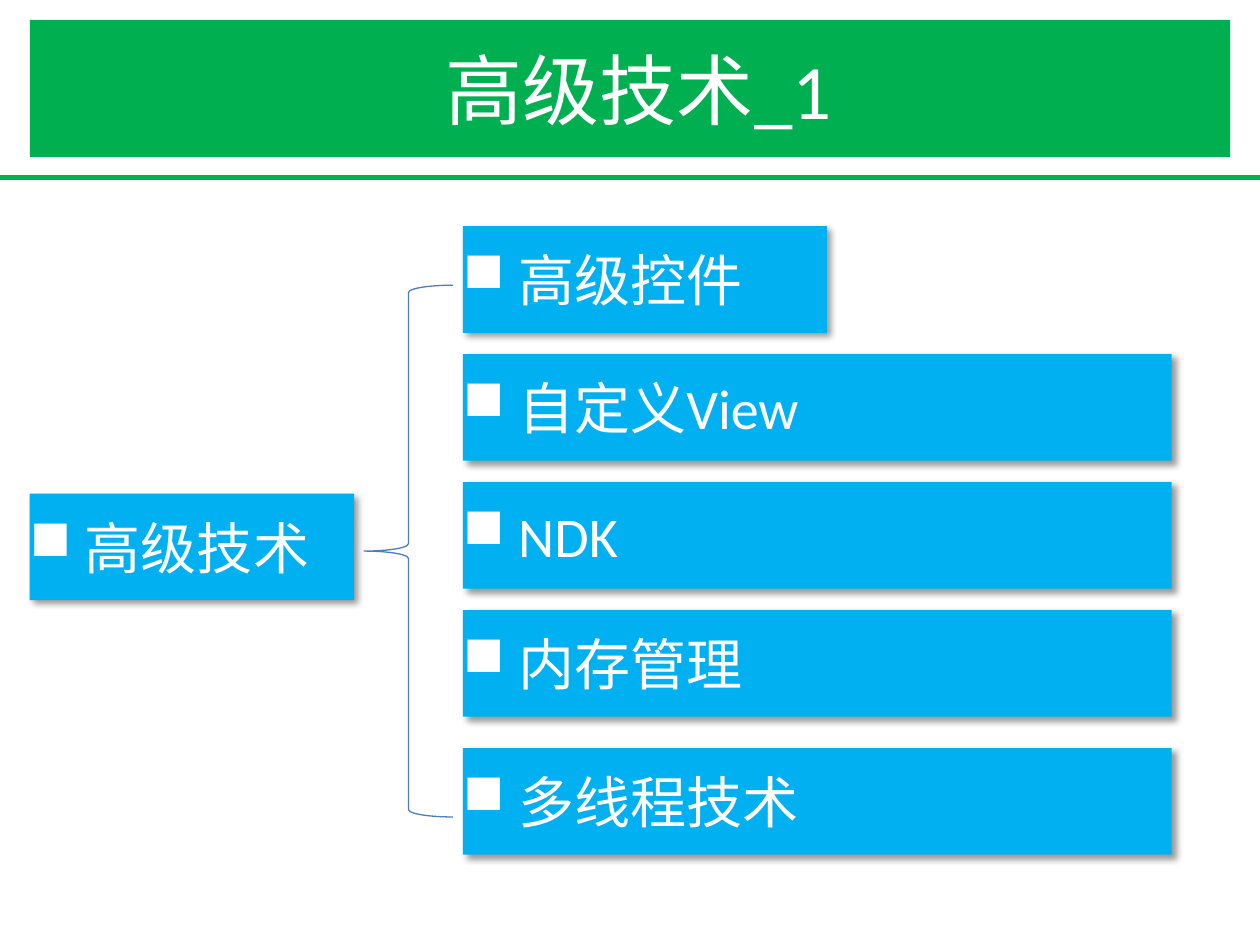
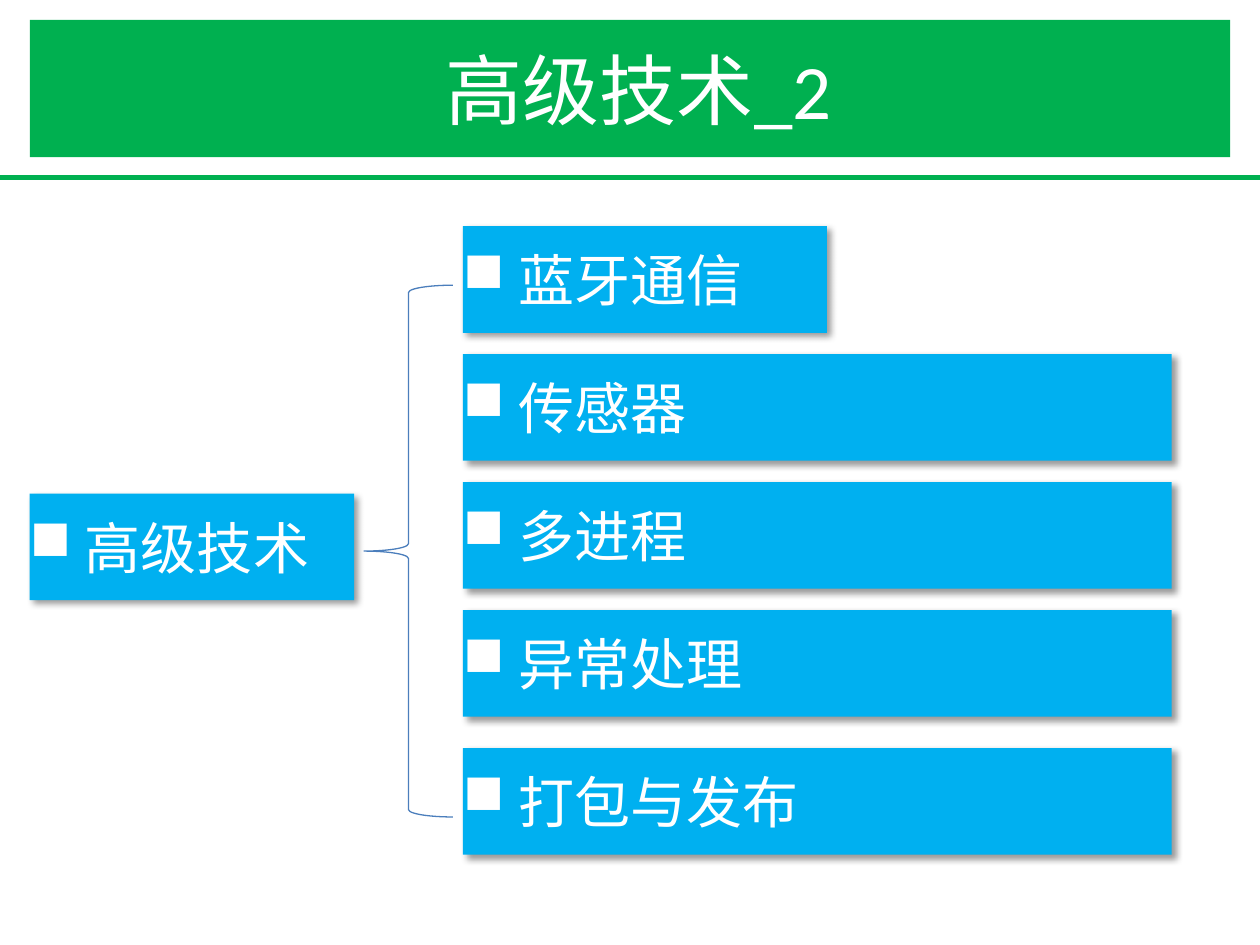
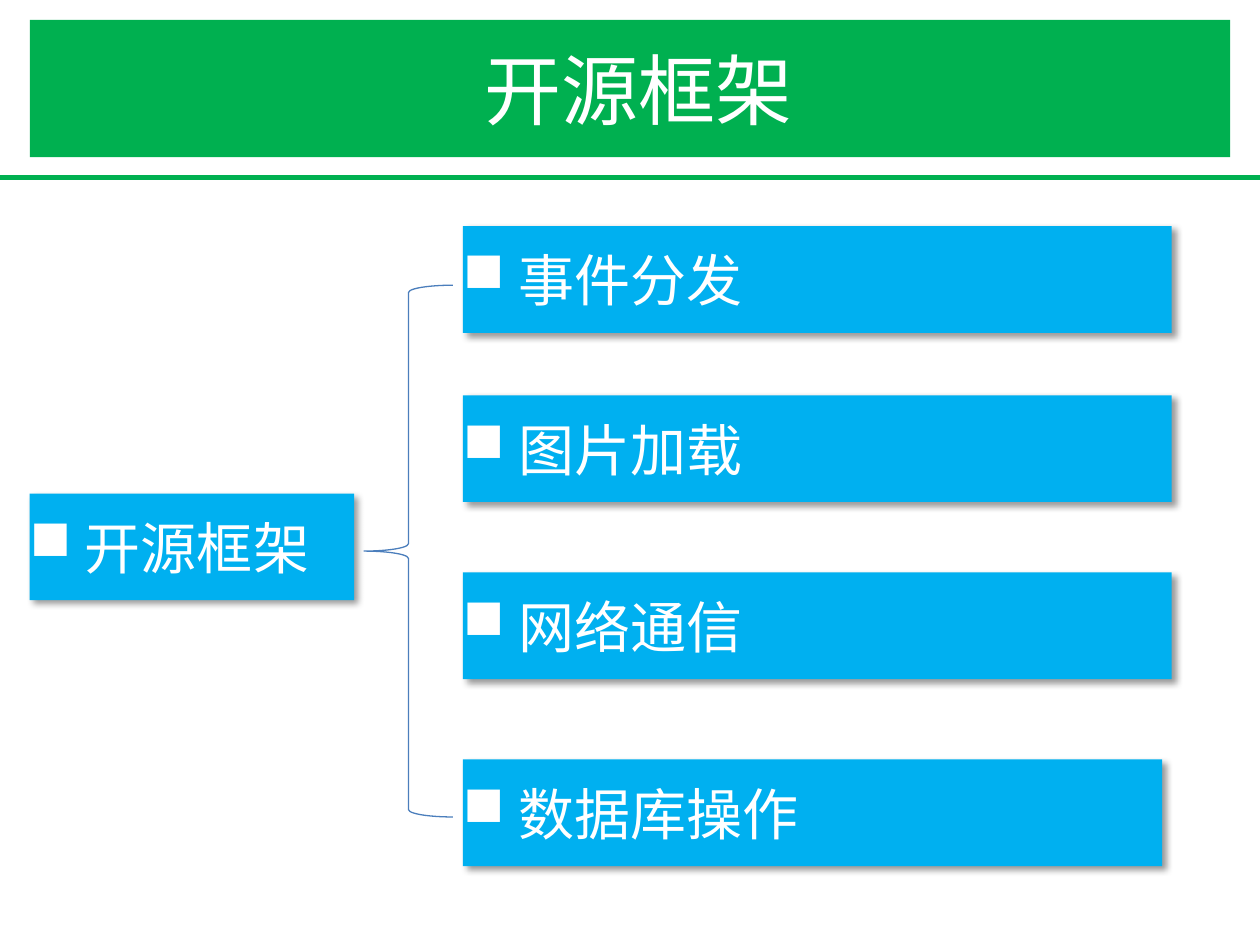
import dataclasses

import lxml.etree
import pptx
import pptx.dml.color
import pptx.enum.shapes
import pptx.enum.text
import pptx.oxml.ns
import pptx.util

Cm = pptx.util.Cm
Pt = pptx.util.Pt
qn = pptx.oxml.ns.qn

COLORS = {
    "band": "00B050",
    "box": "00B0F0",
    "brace": "4B7EBC",
    "text": "FFFFFF",
    "shadow": "000000",
}
FONT = "Calibri"
MARGIN = 0.6
TOPIC_LEFT = 9.33
BOX_HEIGHT = 2.15
FULL, SHORT, LAST = 14.29, 7.34, 14.1


@dataclasses.dataclass
class Box:
    """A bulleted box, in centimetres."""
    text: str
    left: float
    top: float
    width: float


@dataclasses.dataclass
class Outline:
    """One slide: a title, a root topic and its branches."""
    title: str
    root: str
    topics: list[str]
    tops: list[float]
    widths: list[float]


def rgb(name: str) -> pptx.dml.color.RGBColor:
    """Look up a palette colour."""
    return pptx.dml.color.RGBColor.from_string(COLORS[name])


def fill(sp, name: str) -> None:
    """Give a shape a solid fill and no outline."""
    sp.fill.solid()
    sp.fill.fore_color.rgb = rgb(name)
    sp.line.fill.background()


def set_text(sp, text: str, size: int, align) -> None:
    """Write one vertically centred paragraph in the deck's font."""
    tf = sp.text_frame
    tf.text = text
    tf.word_wrap = True
    tf.vertical_anchor = pptx.enum.text.MSO_ANCHOR.MIDDLE
    p = tf.paragraphs[0]
    p.alignment = align
    font = p.runs[0].font
    font.name = FONT
    font.size = Pt(size)
    font.color.rgb = rgb("text")


def add_shadow(sp) -> None:
    """Cast a soft shadow to the lower right."""
    sp.shadow.inherit = False
    effects = sp._element.spPr.find(qn("a:effectLst"))
    shadow = lxml.etree.SubElement(
        effects, qn("a:outerShdw"), blurRad=str(Pt(4)), dist=str(Pt(3)),
        dir=str(45 * 60000), algn="tl", rotWithShape="0")
    color = lxml.etree.SubElement(shadow, qn("a:srgbClr"), val=COLORS["shadow"])
    lxml.etree.SubElement(color, qn("a:alpha"), val="40000")


def add_bullet(p) -> None:
    """Put a square bullet (Wingdings n) before a paragraph."""
    pPr = p._p.get_or_add_pPr()
    lxml.etree.SubElement(
        pPr, qn("a:buFont"), typeface="Wingdings", pitchFamily="2", charset="2")
    lxml.etree.SubElement(pPr, qn("a:buChar"), char="n")


def add_box(slide, box: Box) -> None:
    """Draw a shadowed box with a bulleted label."""
    sp = slide.shapes.add_shape(
        pptx.enum.shapes.MSO_SHAPE.RECTANGLE,
        Cm(box.left), Cm(box.top), Cm(box.width), Cm(BOX_HEIGHT))
    fill(sp, "box")
    add_shadow(sp)
    set_text(sp, box.text, 32, pptx.enum.text.PP_ALIGN.LEFT)
    tf = sp.text_frame
    tf.margin_left = tf.margin_right = tf.margin_top = tf.margin_bottom = 0
    add_bullet(tf.paragraphs[0])


def add_header(slide, title: str) -> None:
    """Draw the title band and the rule below it."""
    line = slide.shapes.add_connector(
        pptx.enum.shapes.MSO_CONNECTOR.STRAIGHT, 0, Cm(3.58), Cm(25.4), Cm(3.58))
    line.line.color.rgb = rgb("band")
    line.line.width = Pt(3)
    lxml.etree.SubElement(line._element.spPr, qn("a:effectLst"))
    sp = slide.shapes.title
    sp.left, sp.top, sp.width, sp.height = Cm(MARGIN), Cm(0.4), Cm(24.2), Cm(2.77)
    fill(sp, "band")
    set_text(sp, title, 44, pptx.enum.text.PP_ALIGN.CENTER)


def add_brace(slide) -> None:
    """Draw the brace that joins the root to its topics."""
    sp = slide.shapes.add_shape(
        pptx.enum.shapes.MSO_SHAPE.LEFT_BRACE, Cm(7.34), Cm(5.75), Cm(1.79), Cm(10.72))
    sp.fill.background()
    sp.line.color.rgb = rgb("brace")
    sp.line.width = Pt(0.75)
    sp.shadow.inherit = False


def add_outline(prs, outline: Outline) -> None:
    """Add one complete slide."""
    slide = prs.slides.add_slide(prs.slide_layouts[5])
    add_header(slide, outline.title)
    add_box(slide, Box(outline.root, MARGIN, 9.95, 6.54))
    add_brace(slide)
    for text, top, width in zip(outline.topics, outline.tops, outline.widths):
        add_box(slide, Box(text, TOPIC_LEFT, top, width))


FIVE_TOPS = [4.56 + 2.58 * i for i in range(4)] + [15.08]
FIVE_WIDTHS = [SHORT] + [FULL] * 4
FOUR_TOPS = [4.56, 7.97, 11.54, 15.31]
FOUR_WIDTHS = [FULL] * 3 + [LAST]

OUTLINES = [
    Outline(" 高级技术_1", " 高级技术",
            [" 高级控件", " 自定义View", " NDK", " 内存管理", " 多线程技术"],
            FIVE_TOPS, FIVE_WIDTHS),
    Outline(" 高级技术_2", " 高级技术",
            [" 蓝牙通信", " 传感器", " 多进程", " 异常处理", " 打包与发布"],
            FIVE_TOPS, FIVE_WIDTHS),
    Outline(" 开源框架", " 开源框架",
            [" 事件分发", " 图片加载", " 网络通信", " 数据库操作"],
            FOUR_TOPS, FOUR_WIDTHS),
]

prs = pptx.Presentation()
prs.slide_width, prs.slide_height = Cm(25.4), Cm(19.05)
for outline in OUTLINES:
    add_outline(prs, outline)
prs.save("out.pptx")
